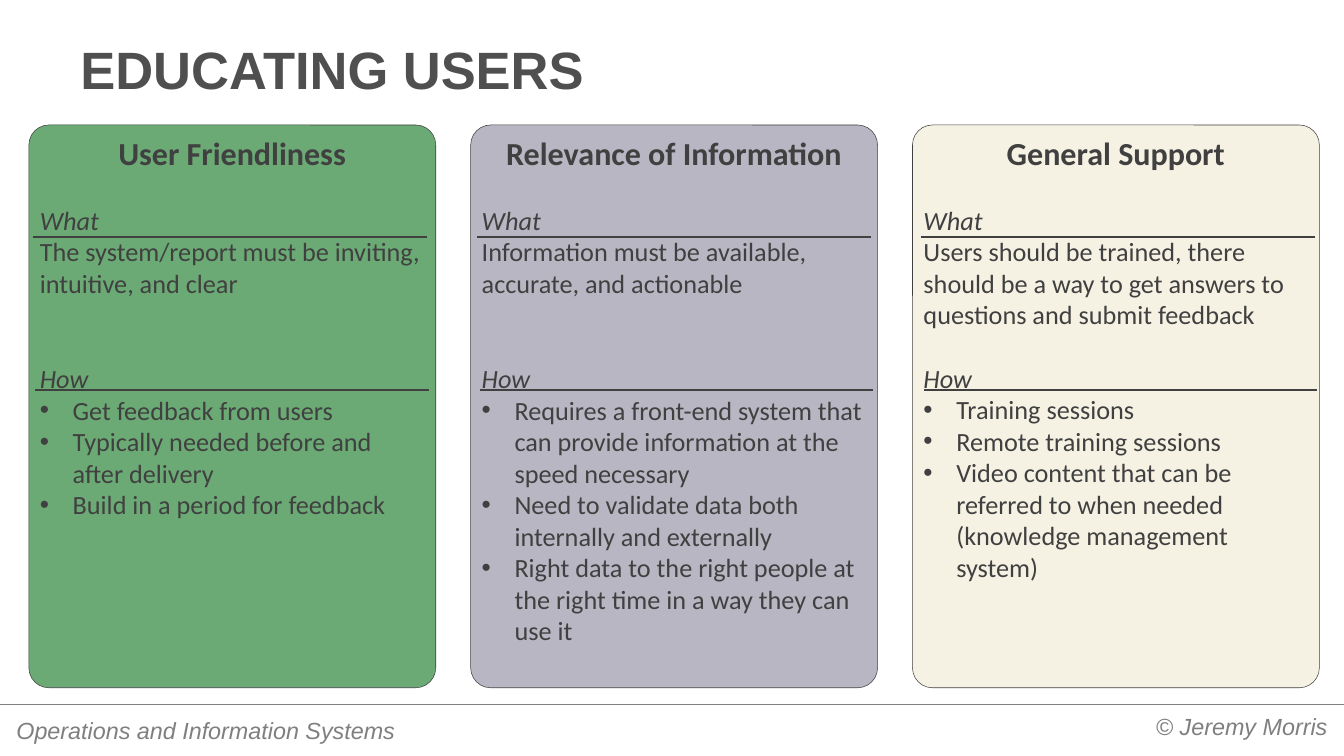
"""Build the "Educating Users" slide with three topic cards."""
from dataclasses import dataclass

from lxml import etree
from pptx import Presentation
from pptx import util as u
from pptx.dml.color import RGBColor
from pptx.enum import shapes, text
from pptx.oxml import ns


@dataclass(frozen=True)
class Theme:
    title: str = "4F4F4F"
    ink: str = "404040"
    footer: str = "7F7F7F"
    footer_rule: str = "808080"
    title_size: int = 72
    heading_size: int = 44
    body_size: int = 36
    footer_size: int = 32
    title_font: str = "Arial"
    body_font: str = "Calibri"


theme = Theme()
cards = [
    ("User Friendliness", "6BAA75",
     "The system/report must be inviting, intuitive, and clear", 2,
     ["Get feedback from users",
      "Typically needed before and after delivery",
      "Build in a period for feedback"]),
    ("Relevance of Information", "B7B6C2",
     "Information must be available, accurate, and actionable", 2,
     ["Requires a front-end system that can provide information at the speed necessary",
      "Need to validate data both internally and externally",
      "Right data to the right people at the right time in a way they can use it"]),
    ("General Support", "F5F1E3",
     "Users should be trained, there should be a way to get answers to questions and submit feedback", 1,
     ["Training sessions",
      "Remote training sessions",
      "Video content that can be referred to when needed (knowledge management system)"]),
]
footers = [
    ("Operations and Information Systems", 9.4, 976.3, 630, text.PP_ALIGN.LEFT),
    ("© Jeremy Morris", 1049.8, 970.6, 784, text.PP_ALIGN.RIGHT),
]
LINE_HEIGHT = 43.95


def style(para, font, size, color, bold=False, italic=False):
    for span in para.runs:
        span.font.name = font
        span.font.size = u.Pt(size)
        span.font.color.rgb = RGBColor.from_string(color)
        span.font.bold = bold
        span.font.italic = italic


def add_rule(left, top, width, color, weight):
    rule = slide.shapes.add_connector(
        shapes.MSO_CONNECTOR.STRAIGHT, u.Pt(left), u.Pt(top), u.Pt(left + width), u.Pt(top))
    rule.line.color.rgb = RGBColor.from_string(color)
    rule.line.width = u.Pt(weight)
    etree.SubElement(rule._element.spPr, ns.qn("a:effectLst"))


deck = Presentation()
deck.slide_width, deck.slide_height = u.Pt(1843.2), u.Pt(1036.8)
slide = deck.slides.add_slide(deck.slide_layouts[5])

add_rule(0, 965.5, 1843.2, theme.footer_rule, 0.75)
for words, left, top, width, align in footers:
    box = slide.shapes.add_textbox(u.Pt(left), u.Pt(top), u.Pt(width), u.Pt(51.8))
    frame = box.text_frame
    frame.word_wrap = True
    frame.margin_left = frame.margin_right = u.Pt(13)
    frame.margin_top = frame.margin_bottom = u.Pt(6.5)
    frame.text = words
    frame.paragraphs[0].alignment = align
    style(frame.paragraphs[0], theme.title_font, theme.footer_size, theme.footer, italic=True)

title = slide.shapes.title
title.left, title.top, title.width, title.height = u.Pt(92.2), u.Pt(38.2), u.Pt(1658.9), u.Pt(107.3)
frame = title.text_frame
frame.text = "EDUCATING USERS"
frame.vertical_anchor = text.MSO_ANCHOR.BOTTOM
frame.margin_left = frame.margin_right = u.Pt(18)
frame.margin_top = frame.margin_bottom = u.Pt(8.6)
frame.paragraphs[0].alignment = text.PP_ALIGN.LEFT
style(frame.paragraphs[0], theme.title_font, theme.title_size, theme.title, bold=True)

for index, (heading, fill, what, gap_lines, steps) in enumerate(cards):
    card = slide.shapes.add_shape(
        shapes.MSO_SHAPE.ROUNDED_RECTANGLE,
        u.Pt(39.6 + 605.9 * index), u.Pt(171.4), u.Pt(558), u.Pt(771.8))
    card.adjustments[0] = 0.049
    card.shadow.inherit = False
    card.fill.solid()
    card.fill.fore_color.rgb = RGBColor.from_string(fill)
    card.line.color.rgb = RGBColor.from_string(theme.ink)
    card.line.width = u.Pt(0.75)
    frame = card.text_frame
    frame.word_wrap = True
    frame.vertical_anchor = text.MSO_ANCHOR.TOP
    frame.text = "\n".join([heading, "What", what, "How", *steps])

    for para in frame.paragraphs:
        para.alignment = text.PP_ALIGN.LEFT
        style(para, theme.body_font, theme.body_size, theme.ink, italic=para.text in ("What", "How"))
    heading_para, what_para, _, how_para, *step_paras = frame.paragraphs
    heading_para.alignment = text.PP_ALIGN.CENTER
    style(heading_para, theme.body_font, theme.heading_size, theme.ink, bold=True)
    what_para.space_before = u.Pt(LINE_HEIGHT)
    how_para.space_before = u.Pt(LINE_HEIGHT * gap_lines)
    for para in step_paras:
        properties = para._p.get_or_add_pPr()
        properties.set("marL", str(u.Pt(45)))
        properties.set("indent", str(-u.Pt(45)))
        etree.SubElement(properties, ns.qn("a:buFont"), typeface="Arial")
        etree.SubElement(properties, ns.qn("a:buChar"), char="•")

for index in range(len(cards)):
    for left, top in ((45.4, 325), (48.6, 535)):
        add_rule(left + 609.1 * index, top, 540, theme.ink, 3)

deck.save("out.pptx")
